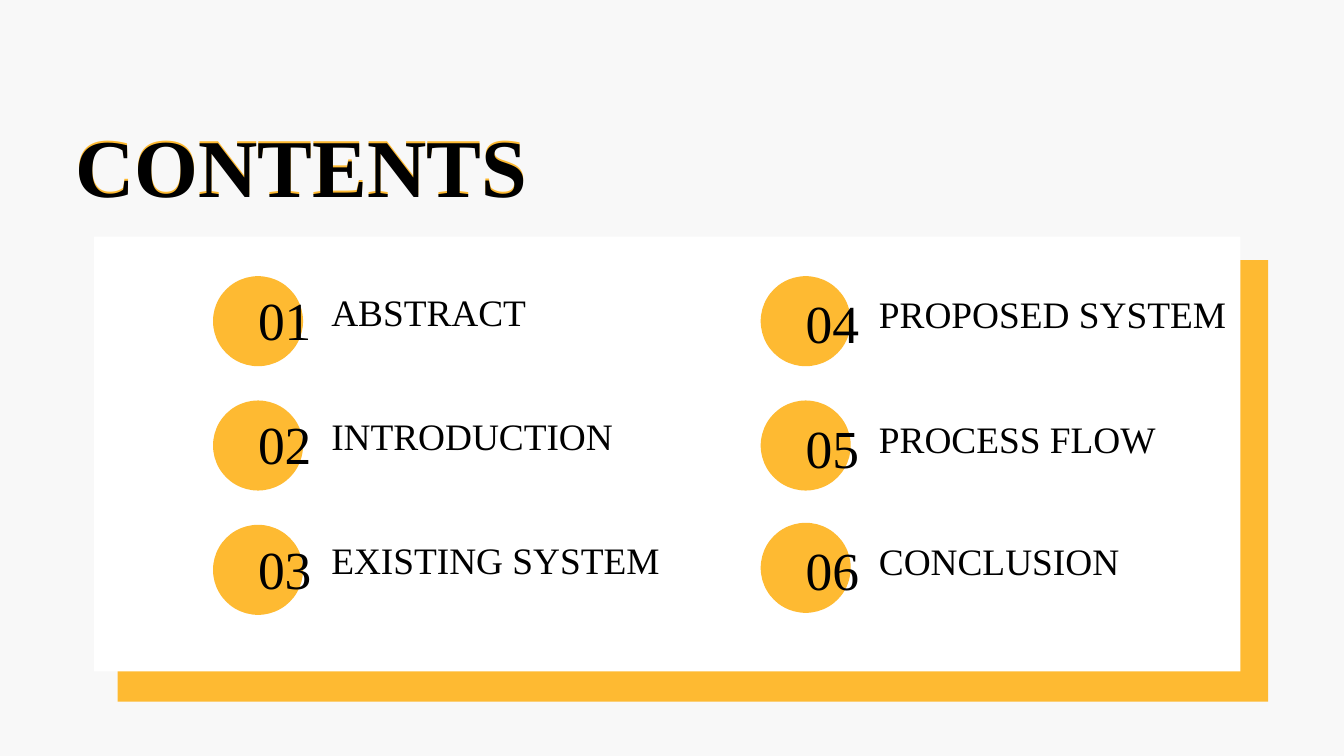
from dataclasses import dataclass

from pptx import Presentation
from pptx.dml.color import RGBColor
from pptx.enum.shapes import MSO_SHAPE
from pptx.enum.text import MSO_ANCHOR, MSO_AUTO_SIZE, PP_ALIGN
from pptx.shapes.base import BaseShape
from pptx.slide import Slide
from pptx.util import Inches, Pt

GREY = RGBColor(0xF8, 0xF8, 0xF8)
GOLD = RGBColor(0xFE, 0xBA, 0x32)
WHITE = RGBColor(0xFF, 0xFF, 0xFF)
BLACK = RGBColor(0x00, 0x00, 0x00)
FONT = "Times New Roman"
DISC = 1.34


@dataclass
class Style:
    size: float
    line: float
    color: RGBColor = BLACK
    bold: bool = False


@dataclass
class Column:
    left: float
    first: int
    num_drop: float
    name_drop: float
    tops: tuple[float, ...]
    names: tuple[str, ...]


NUMBER = Style(57.3, 63)
LABEL = Style(40, 26.4)
HEAD = Style(88, 126.3, bold=True)
GLOW = Style(88, 126.3, GOLD, True)

COLUMNS = (
    Column(3.17, 1, 0.24, 0.49, (4.11, 5.96, 7.81),
           ("ABSTRACT", "INTRODUCTION", "EXISTING SYSTEM")),
    Column(11.32, 4, 0.29, 0.53, (4.11, 5.96, 7.78),
           ("PROPOSED SYSTEM", "PROCESS FLOW", "CONCLUSION")),
)


def add_block(slide: Slide, kind: MSO_SHAPE, left: float, top: float,
              width: float, height: float, color: RGBColor) -> None:
    block = slide.shapes.add_shape(
        kind, Inches(left), Inches(top), Inches(width), Inches(height))
    block.shadow.inherit = False
    block.fill.solid()
    block.fill.fore_color.rgb = color
    block.line.fill.background()


def set_text(shape: BaseShape, text: str, style: Style) -> None:
    frame = shape.text_frame
    frame.text = text
    frame.word_wrap = True
    frame.auto_size = MSO_AUTO_SIZE.SHAPE_TO_FIT_TEXT
    frame.vertical_anchor = MSO_ANCHOR.TOP
    frame.margin_left = frame.margin_right = 0
    frame.margin_top = frame.margin_bottom = 0
    para = frame.paragraphs[0]
    para.alignment = PP_ALIGN.LEFT
    para.line_spacing = Pt(style.line)
    font = para.font
    font.name, font.size, font.bold = FONT, Pt(style.size), style.bold
    font.color.rgb = style.color


def add_text(slide: Slide, text: str, left: float, top: float,
             width: float, height: float, style: Style) -> None:
    box = slide.shapes.add_textbox(
        Inches(left), Inches(top), Inches(width), Inches(height))
    set_text(box, text, style)


def add_column(slide: Slide, col: Column) -> None:
    for num, (top, name) in enumerate(zip(col.tops, col.names), col.first):
        add_block(slide, MSO_SHAPE.OVAL, col.left, top, DISC, DISC, GOLD)
        add_text(slide, f"{num:02}", col.left + DISC / 2, top + col.num_drop,
                 1.28, 0.9, NUMBER)
        add_text(slide, name, col.left + 1.76, top + col.name_drop,
                 5.53, 0.4, LABEL)


def main() -> None:
    deck = Presentation()
    deck.slide_width, deck.slide_height = Inches(20), Inches(11.25)
    slide = deck.slides.add_slide(deck.slide_layouts[5])
    slide.background.fill.solid()
    slide.background.fill.fore_color.rgb = GREY

    # Panel with its offset gold backing
    add_block(slide, MSO_SHAPE.RECTANGLE, 1.75, 3.87, 17.12, 6.57, GOLD)
    add_block(slide, MSO_SHAPE.RECTANGLE, 1.4, 3.52, 17.06, 6.47, WHITE)

    # Numbered contents
    for col in COLUMNS:
        add_column(slide, col)

    # Heading in front of its gold echo
    add_text(slide, "CONTENTS", 1.12, 1.4, 8.7, 1.61, GLOW)
    title = slide.shapes.title
    title.left, title.top = Inches(1.12), Inches(1.43)
    title.width, title.height = Inches(8.7), Inches(1.61)
    set_text(title, "CONTENTS", HEAD)
    title.element.getparent().append(title.element)

    deck.save("out.pptx")


if __name__ == "__main__":
    main()
